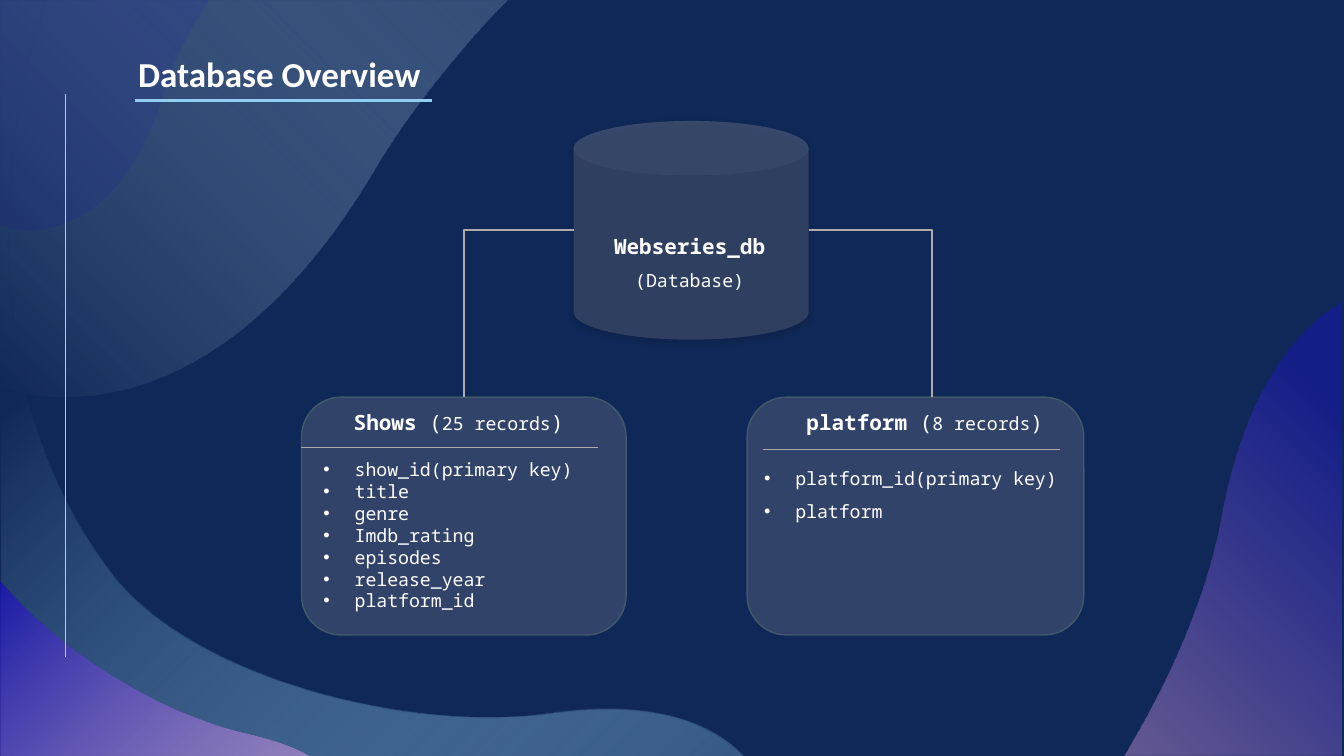
from pptx import Presentation
from pptx.dml.color import RGBColor
from pptx.enum import shapes as kinds, text as modes
from pptx.oxml import parse_xml
from pptx.oxml.ns import nsdecls, qn
from pptx.util import Inches, Pt

HUE = {"navy": "102857", "sky": "92CDF0", "pale": "BEE1F6", "blue": "180DC2",
       "royal": "1C0FE1", "pink": "F6A6F4", "rose": "F7AFF5", "grey": "AFABAB",
       "edge": "405A69", "white": "FFFFFF", "black": "000000"}
MONO = "Noto Sans Mono"
TITLE = "Database Overview"
STORE = [[("Webseries_db", 15, True)], [("(Database)", 13, False)]]

# Card: box, heading place, name, count, rule start, list place, spacing, fields
CARDS = [
    ((7.41, 3.94, 3.34, 2.36), (7.9, 4.01, 2.61, 0.36), "platform", "8 records",
     (7.57, 4.46), (7.48, 4.48, 3.34, 0.72), 1.5,
     ["platform_id(primary key)", "platform"]),
    ((2.99, 3.94, 3.22, 2.36), (3.41, 4.01, 2.52, 0.35), "Shows", "25 records",
     (2.99, 4.44), (3.11, 4.5, 2.87, 1.63), 1,
     ["show_id(primary key)", "title", "genre", "Imdb_rating", "episodes",
      "release_year", "platform_id"]),
]
ELBOWS = [(8.02, 2.28, 9.24, 3.94), (5.69, 2.28, 4.6, 3.94)]

# Wave: stops (position, colour, opacity), direction, then points;
# two numbers make a straight side, six a Bezier curve
FROM_RIGHT = '<a:path path="circle"><a:fillToRect l="100000" t="100000"/></a:path>'
FROM_LEFT = '<a:path path="circle"><a:fillToRect t="100000" r="100000"/></a:path>'
UPWARD = '<a:lin ang="18900000" scaled="0"/>'
WAVES = [
    ([(0, "sky", 30), (73, "navy", 100)], FROM_RIGHT,
     [(0.02, 0), (0.46, 0), (0.45, 0.02), (0.41, 0.2, 0.36, 0.38, 0.29, 0.58),
      (-0.22, 2.95, 0.32, 4.65, 1.11, 5.68), (1.89, 6.72, 4.07, 7.28, 5.48, 7.07),
      (6.34, 6.95, 6.93, 7.11, 7.29, 7.42), (7.37, 7.5), (0.02, 7.5)]),
    ([(0, "navy", 56), (99, "pale", 20)], UPWARD,
     [(0.01, 0.01), (5.03, 0.01), (4.88, 0.16), (4.43, 0.65, 4.03, 1.16, 3.73, 1.66),
      (2.63, 3.53, 1.34, 4.09, 0.23, 3.9), (0.01, 3.84)]),
    ([(0, "blue", 11)], "",
     [(0, 0), (2.07, 0), (2.01, 0.1), (1.83, 0.39, 1.69, 0.69, 1.61, 0.97),
      (1.28, 2.02, 0.67, 2.36, 0.1, 2.27), (0, 2.24), (0, 0)]),
    ([(0, "pink", 45), (98, "blue", 67)], FROM_RIGHT,
     [(0, 5.76), (0.11, 5.88), (0.71, 6.54, 1.65, 7.09, 2.42, 7.27),
      (2.64, 7.32, 2.84, 7.38, 3, 7.46), (3.07, 7.5), (0, 7.5)]),
    ([(0, "rose", 36), (83, "royal", 35)], FROM_LEFT,
     [(13.31, 2.99), (13.31, 7.5), (11.15, 7.5), (11.27, 7.29),
      (11.69, 6.56, 12, 5.78, 12.12, 5.09), (12.31, 4.09, 12.68, 3.46, 13.15, 3.1),
      (13.31, 2.99)]),
]

deck = Presentation()
deck.slide_width, deck.slide_height = Inches(13.33), Inches(7.5)
slide = deck.slides.add_slide(deck.slide_layouts[5])
parts = slide.shapes


def rgb(name):
    return RGBColor.from_string(HUE[name])


def tint(name, alpha):
    return f'<a:srgbClr val="{HUE[name]}"><a:alpha val="{alpha * 1000}"/></a:srgbClr>'


def paint(shape, stops, way=""):
    """Fill a shape with one translucent colour or a gradient."""
    if way:
        marks = "".join(f'<a:gs pos="{at * 1000}">{tint(name, alpha)}</a:gs>'
                        for at, name, alpha in stops)
        tag, body = "gradFill", f"<a:gsLst>{marks}</a:gsLst>{way}"
    else:
        tag, body = "solidFill", tint(*stops[0][1:])
    geom = shape._element.spPr.find(qn("a:custGeom"))
    if geom is None:
        geom = shape._element.spPr.find(qn("a:prstGeom"))
    geom.addnext(parse_xml(f'<a:{tag} {nsdecls("a")}>{body}</a:{tag}>'))
    shape.line.fill.background()
    shape.shadow.inherit = False


def wave(points):
    """Draw the outline through its corners, then bend the curved sides."""
    first, *rest = [(Inches(p[-2]), Inches(p[-1])) for p in points]
    pen = parts.build_freeform(*first)
    pen.add_line_segments(rest, close=True)
    shape = pen.convert_to_shape()
    sides = list(shape._element.spPr.iter(qn("a:lnTo")))
    for side, point in zip(sides, points[1:]):
        if len(point) == 6:
            dots = "".join(f'<a:pt x="{Inches(x) - shape.left}" y="{Inches(y) - shape.top}"/>'
                           for x, y in zip(point[::2], point[1::2]))
            curve = parse_xml(f'<a:cubicBezTo {nsdecls("a")}>{dots}</a:cubicBezTo>')
            side.getparent().replace(side, curve)
    return shape


def rule(ends, name, width, bent=False):
    kind = kinds.MSO_CONNECTOR.ELBOW if bent else kinds.MSO_CONNECTOR.STRAIGHT
    line = parts.add_connector(kind, *map(Inches, ends))
    line.line.color.rgb, line.line.width = rgb(name), Pt(width)
    props = line._element.spPr
    if bent:
        props.find(qn("a:prstGeom")).set("prst", "bentConnector2")
    props.append(parse_xml(f'<a:effectLst {nsdecls("a")}/>'))


def box(kind, place):
    shape = parts.add_shape(kind, *map(Inches, place))
    paint(shape, [(0, "grey", 21)])
    return shape


def write(place, lines, align=modes.PP_ALIGN.LEFT, gap=1, bullet=False):
    frame = parts.add_textbox(*map(Inches, place)).text_frame
    frame.word_wrap = True
    frame.auto_size = modes.MSO_AUTO_SIZE.SHAPE_TO_FIT_TEXT
    for i, line in enumerate(lines):
        para = frame.add_paragraph() if i else frame.paragraphs[0]
        para.alignment, para.line_spacing = align, float(gap)
        for words, size, bold in line:
            run = para.add_run()
            run.text, run.font.size, run.font.bold = words, Pt(size), bold
            run.font.name, run.font.color.rgb = MONO, rgb("white")
        if bullet:
            props = para._p.get_or_add_pPr()
            props.set("marL", str(Inches(0.31)))
            props.set("indent", str(Inches(-0.31)))
            props.append(parse_xml(f'<a:buFont {nsdecls("a")} typeface="Arial"/>'))
            props.append(parse_xml(f'<a:buChar {nsdecls("a")} char="•"/>'))


# Background and waves
slide.background.fill.solid()
slide.background.fill.fore_color.rgb = rgb("navy")
for stops, way, points in WAVES:
    paint(wave(points), stops, way)
rule((0.65, 0.93, 0.65, 6.52), "pink", 0.5)

# Table cards
for place, *_ in CARDS:
    card = box(kinds.MSO_SHAPE.ROUNDED_RECTANGLE, place)
    card.line.color.rgb, card.line.width = rgb("edge"), Pt(1)

# Database cylinder and its links
can = box(kinds.MSO_SHAPE.CAN, (5.69, 1.2, 2.33, 2.17))
can._element.spPr.find(qn("a:effectLst")).append(parse_xml(
    f'<a:outerShdw {nsdecls("a")} blurRad="{Pt(4.5)}" dist="{Pt(1.5)}" dir="5400000" '
    f'algn="ctr" rotWithShape="0">{tint("black", 63)}</a:outerShdw>'))
write((5.98, 2.14, 1.72, 0.77), STORE, modes.PP_ALIGN.CENTER, 1.5)
for ends in ELBOWS:
    rule(ends, "grey", 1.5, bent=True)

# Card headings and fields
for _, head, name, count, (x, y), room, gap, fields in CARDS:
    write(head, [[(name, 15, True), (" (", 15, False), (count, 13, False),
                  (")", 15, False)]])
    rule((x, y, x + 2.94, y), "grey", 1)
    write(room, [[(field, 13, False)] for field in fields], gap=gap, bullet=True)

# Title, brought in front of the waves
title = parts.title
title.left, title.top, title.width, title.height = map(Inches, (1.27, 0.47, 3.68, 0.52))
title.text_frame.text = TITLE
title.text_frame.auto_size = modes.MSO_AUTO_SIZE.NONE
title.text_frame.vertical_anchor = modes.MSO_ANCHOR.TOP
para = title.text_frame.paragraphs[0]
para.alignment = modes.PP_ALIGN.LEFT
font = para.font
font.name, font.size, font.bold, font.color.rgb = "Calibri", Pt(25), True, rgb("white")
parts._spTree.append(title._element)
rule((1.34, 1, 4.28, 1), "sky", 2)

deck.save("out.pptx")
